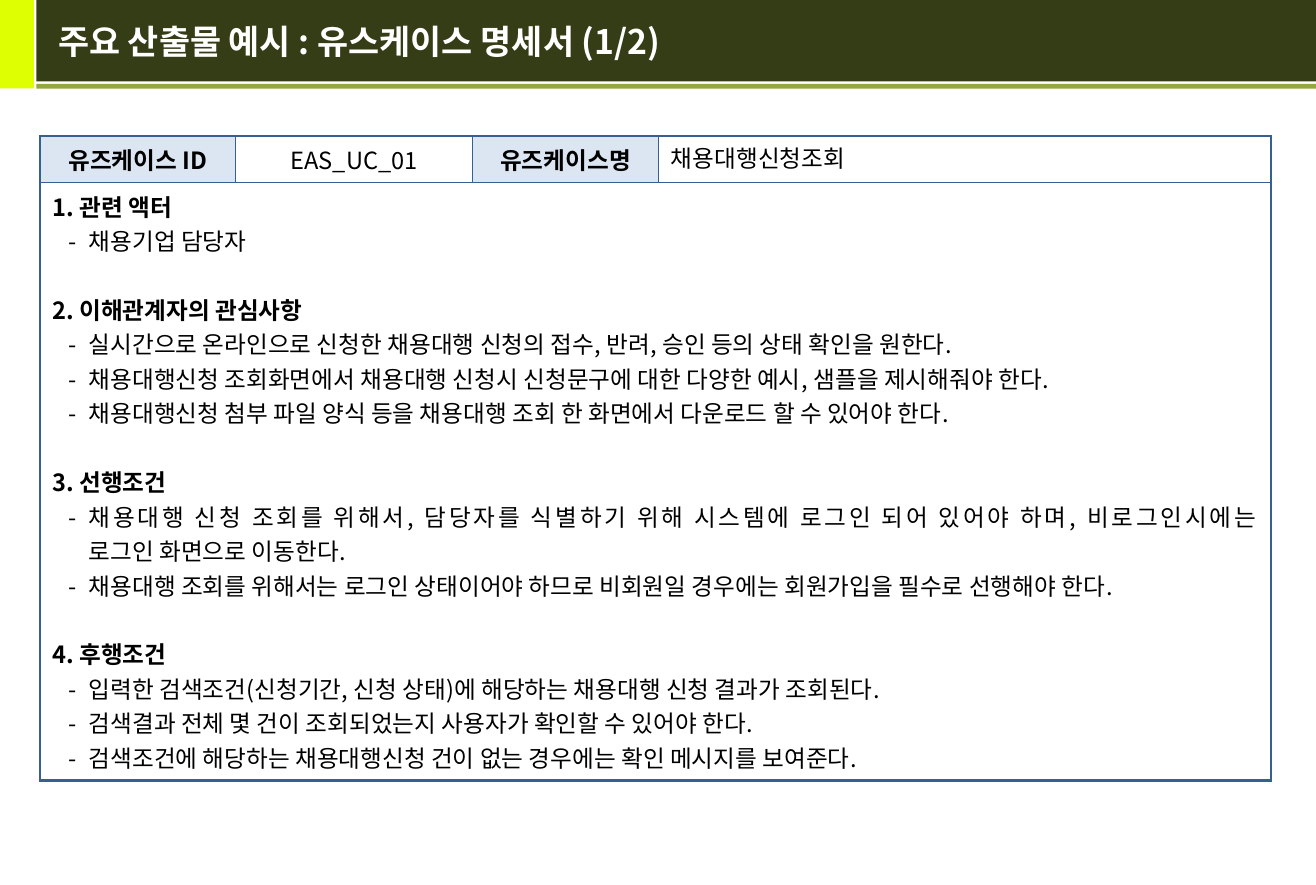
from lxml.etree import SubElement
from pptx import Presentation
from pptx.dml.color import RGBColor
from pptx.enum.shapes import MSO_SHAPE
from pptx.enum.text import MSO_ANCHOR, PP_ALIGN
from pptx.oxml import parse_xml
from pptx.oxml.ns import nsdecls, qn
from pptx.util import Inches, Pt

THEME = dict(
    lime="DEFF02", dark="353D17", olive="93A73F", white="FFFFFF", black="000000",
    label="DCE6F2", border="376092", font="Noto Sans CJK KR", latin="Arial",
    title=20, body=14, gap=20.4, thick=1.5, thin=0.75,
)
W, H = 10.83, 7.28


def style(p, size, color, bold=False, font=THEME["font"]):
    for r in p.runs:
        values = dict(name=font, size=Pt(size), bold=bold)
        for key, value in values.items():
            setattr(r.font, key, value)
        r.font.color.rgb = RGBColor.from_string(color)
        SubElement(r.font._element, qn("a:ea"), typeface=font)


def set_borders(cell, widths):
    """Draw the left, right, top and bottom borders, in that order."""
    tcPr = cell._tc.get_or_add_tcPr()
    for side, width in zip("LRTB", widths):
        tcPr.append(parse_xml(
            f'<a:ln{side} {nsdecls("a")} w="{Pt(width)}"><a:solidFill>'
            f'<a:srgbClr val="{THEME["border"]}"/></a:solidFill></a:ln{side}>'))


prs = Presentation()
prs.slide_width, prs.slide_height = Inches(W), Inches(H)
s = prs.slides.add_slide(prs.slide_layouts[6])

# Header bands
band_x = 0.3
bands = [
    (0, 0, 0.28, 0.1 * H, "lime"),
    (band_x, 0, W - band_x, 0.67, "dark"),
    (band_x, 0.69, W - band_x, 0.04, "olive"),
]
for x, y, w, h, color in bands:
    sp = s.shapes.add_shape(MSO_SHAPE.RECTANGLE, *map(Inches, (x, y, w, h)))
    sp.shadow.inherit = False
    sp.fill.solid()
    sp.fill.fore_color.rgb = RGBColor.from_string(THEME[color])
    sp.line.fill.background()

tf = s.shapes.add_textbox(*map(Inches, (0.38, 0, 10.32, 0.68))).text_frame
tf.word_wrap = True
tf.vertical_anchor = MSO_ANCHOR.MIDDLE
p = tf.paragraphs[0]
p.text = "주요 산출물 예시 : 유스케이스 명세서 (1/2)"
style(p, THEME["title"], THEME["white"], bold=True)

# Use case table
cols, rows = [1.61, 1.95, 1.53, 5.04], [0.38, 4.92]
table = s.shapes.add_table(len(rows), len(cols), Inches(0.33), Inches(1.12),
                           Inches(sum(cols)), Inches(sum(rows))).table
table.first_row = table.horz_banding = False
for col, width in zip(table.columns, cols):
    col.width = Inches(width)
for row, height in zip(table.rows, rows):
    row.height = Inches(height)

thick, thin = THEME["thick"], THEME["thin"]
for i in range(len(rows)):
    for j in range(len(cols)):
        cell = table.cell(i, j)
        edges = (j == 0, j == len(cols) - 1, i == 0, i == len(rows) - 1)
        set_borders(cell, [thick if outer else thin for outer in edges])
        cell.vertical_anchor = MSO_ANCHOR.MIDDLE
        cell.fill.background()
table.cell(1, 0).merge(table.cell(1, len(cols) - 1))

header = ["유즈케이스 ID", "EAS_UC_01", "유즈케이스명", "채용대행신청조회"]
for j, text in enumerate(header):
    cell = table.cell(0, j)
    is_label, is_last = j % 2 == 0, j == len(header) - 1
    if is_label:
        cell.fill.solid()
        cell.fill.fore_color.rgb = RGBColor.from_string(THEME["label"])
    p = cell.text_frame.paragraphs[0]
    p.text = text
    p.alignment = PP_ALIGN.LEFT if is_last else PP_ALIGN.CENTER
    style(p, THEME["body"], THEME["black"], is_label, THEME["latin" if is_last else "font"])

sections = {
    "1. 관련 액터": ["채용기업 담당자"],
    "2. 이해관계자의 관심사항": [
        "실시간으로 온라인으로 신청한 채용대행 신청의 접수, 반려, 승인 등의 상태 확인을 원한다.",
        "채용대행신청 조회화면에서 채용대행 신청시 신청문구에 대한 다양한 예시, 샘플을 제시해줘야 한다.",
        "채용대행신청 첨부 파일 양식 등을 채용대행 조회 한 화면에서 다운로드 할 수 있어야 한다.",
    ],
    "3. 선행조건": [
        "채용대행 신청 조회를 위해서, 담당자를 식별하기 위해 시스템에 로그인 되어 있어야 하며, 비로그인시에는\v"
        "로그인 화면으로 이동한다.",
        "채용대행 조회를 위해서는 로그인 상태이어야 하므로 비회원일 경우에는 회원가입을 필수로 선행해야 한다.",
    ],
    "4. 후행조건": [
        "입력한 검색조건(신청기간, 신청 상태)에 해당하는 채용대행 신청 결과가 조회된다.",
        "검색결과 전체 몇 건이 조회되었는지 사용자가 확인할 수 있어야 한다.",
        "검색조건에 해당하는 채용대행신청 건이 없는 경우에는 확인 메시지를 보여준다.",
    ],
}
tf = table.cell(1, 0).text_frame
for n, (heading, items) in enumerate(sections.items()):
    for k, text in enumerate([heading, *items]):
        p = tf.add_paragraph() if n or k else tf.paragraphs[0]
        p.text = text
        p.alignment = PP_ALIGN.JUSTIFY
        style(p, THEME["body"], THEME["black"], bold=k == 0)
        if k:
            pPr = p._p.get_or_add_pPr()
            pPr.set("marL", str(Inches(0.3)))
            pPr.set("indent", str(Inches(-0.17)))
            SubElement(pPr, qn("a:buFont"), typeface=THEME["font"])
            SubElement(pPr, qn("a:buChar"), char="-")
        elif n:
            p.space_before = Pt(THEME["gap"])

prs.save("out.pptx")
